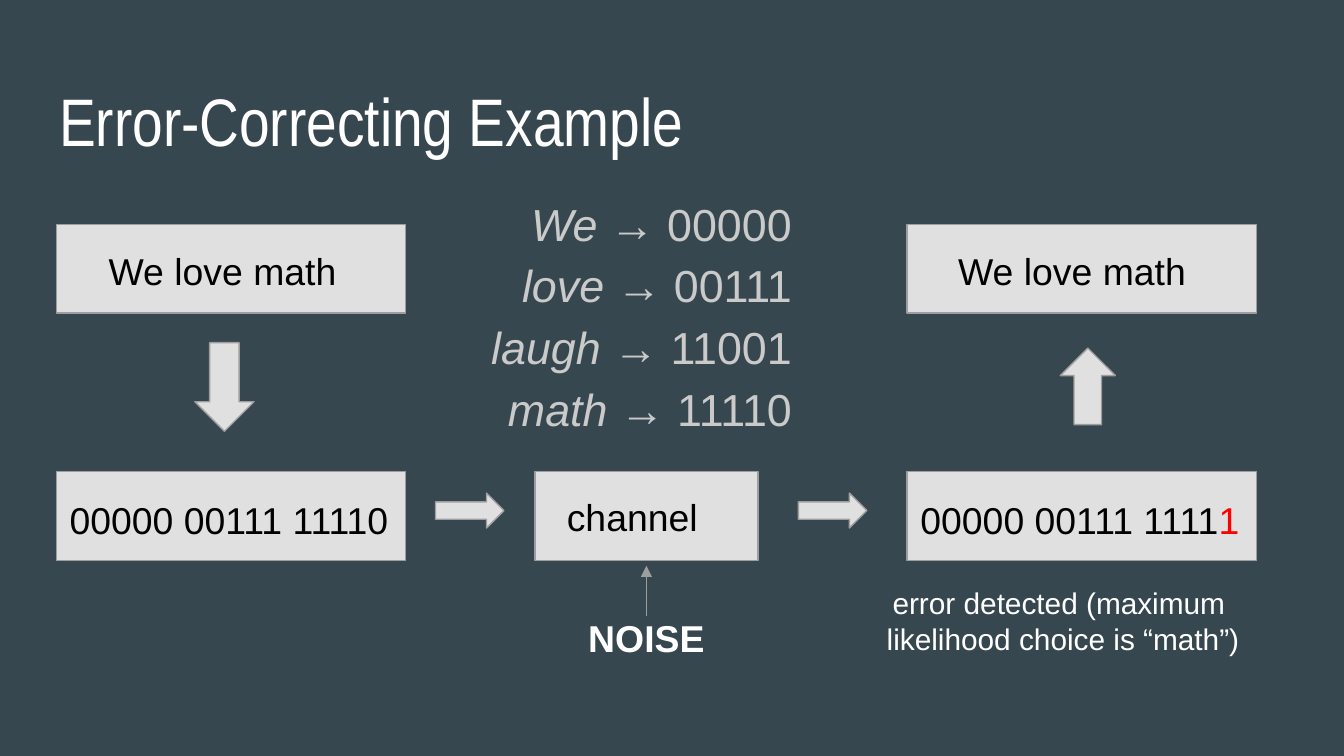
from lxml.etree import SubElement
from pptx import Presentation
from pptx.dml.color import RGBColor
from pptx.enum.shapes import MSO_CONNECTOR, MSO_SHAPE
from pptx.enum.text import MSO_ANCHOR, MSO_AUTO_SIZE, PP_ALIGN
from pptx.oxml.ns import qn
from pptx.util import Pt

DARK, PALE, EDGE = "37474F", "E0E0E0", "9E9E9E"
WHITE, BLACK, RED, GREY = "FFFFFF", "000000", "FF0000", "CACACA"
LEFT, RIGHT = 30.2, 486
TOP, LOW = 120.2, 252.7
WIDE, TALL = 187.2, 47.5


def hue(code):
    return RGBColor.from_string(code)


def spot(left, top, width, height):
    return [Pt(value) for value in (left, top, width, height)]


def style(item, values):
    for name, value in values.items():
        setattr(item, name, value)


def write(shape, lines, size, align=PP_ALIGN.LEFT, face="Arial",
          anchor=MSO_ANCHOR.TOP, space=1.0):
    """Fill a shape with lines, each a list of (text, colour, extra format)."""
    frame = shape.text_frame
    style(frame, {"word_wrap": True, "auto_size": MSO_AUTO_SIZE.NONE,
                  "vertical_anchor": anchor})
    style(frame, {f"margin_{side}": Pt(7.2)
                  for side in ("left", "top", "right", "bottom")})
    for index, line in enumerate(lines):
        para = frame.add_paragraph() if index else frame.paragraphs[0]
        style(para, {"alignment": align, "line_spacing": space})
        for text, code, extra in line:
            run = para.add_run()
            run.text = text
            style(run.font, {"name": face, "size": Pt(size), **extra})
            run.font.color.rgb = hue(code)


def label(slide, place, lines, size=20, **extra):
    write(slide.shapes.add_textbox(*spot(*place)), lines, size, **extra)


def block(slide, kind, *place):
    shape = slide.shapes.add_shape(kind, *spot(*place))
    shape.shadow.inherit = False
    shape.fill.solid()
    shape.fill.fore_color.rgb = hue(PALE)
    shape.line.color.rgb = hue(EDGE)
    shape.line.width = Pt(0.75)


def arrow(slide, *ends):
    link = slide.shapes.add_connector(MSO_CONNECTOR.STRAIGHT, *spot(*ends))
    link.line.color.rgb = hue(EDGE)
    link.line.width = Pt(0.75)
    SubElement(link.line._get_or_add_ln(), qn("a:tailEnd"), type="triangle")
    SubElement(link._element.spPr, qn("a:effectLst"))


def main():
    deck = Presentation()
    style(deck, {"slide_width": Pt(720), "slide_height": Pt(405)})
    slide = deck.slides.add_slide(deck.slide_layouts[5])
    slide.background.fill.solid()
    slide.background.fill.fore_color.rgb = hue(DARK)

    # Title
    title = slide.shapes.title
    style(title, dict(zip(("left", "top", "width", "height"),
                          spot(24.5, 35.3, 671, 45.4))))
    write(title, [[("Error-Correcting Example", WHITE, {})]], 36,
          face="Arial Narrow")

    # Boxes for the message, its code and the channel
    for left in (LEFT, RIGHT):
        for top in (TOP, LOW):
            block(slide, MSO_SHAPE.RECTANGLE, left, top, WIDE, TALL)
    block(slide, MSO_SHAPE.RECTANGLE, 286.6, LOW, 119.5, TALL)

    # Block arrows from step to step
    block(slide, MSO_SHAPE.DOWN_ARROW, 104.4, 183.6, 31.7, 47.5)
    block(slide, MSO_SHAPE.UP_ARROW, 568, 186.5, 29.5, 41)
    for left in (233.3, 427.7):
        block(slide, MSO_SHAPE.RIGHT_ARROW, left, 264.2, 36.7, 18.7)

    # Words in the boxes
    for left in (51.1, 506.2):
        label(slide, (left, 126, 150, 30), [[("We love math", BLACK, {})]])
    label(slide, (LEFT, 259.2, 195.8, 30),
          [[("00000 00111 11110", BLACK, {})]])
    label(slide, (RIGHT, 259.2, 195.8, 30),
          [[("00000 00111 1111", BLACK, {}), ("1", RED, {})]])
    label(slide, (296.6, 257.8, 105, 31.7), [[("channel", BLACK, {})]])

    # Noise and the error note
    label(slide, (293.8, 322.6, 105, 28.8),
          [[("NOISE", WHITE, {"bold": True})]], align=PP_ALIGN.CENTER)
    arrow(slide, 346.3, 329.8, 346.3, 303.1)
    note = ("error detected (maximum ", "likelihood choice is “math”)")
    label(slide, (432.7, 306, 273.6, 45.4),
          [[(text, WHITE, {})] for text in note], 16, align=PP_ALIGN.CENTER)

    # Code book
    codes = {"We": "00000", "love": "00111", "laugh": "11001",
             "math": "11110"}
    lines = [[(word, GREY, {"italic": True}), (f" → {code}", GREY, {})]
             for word, code in codes.items()]
    label(slide, (249.1, 76.3, 182.2, 181.4), lines, 24,
          align=PP_ALIGN.RIGHT, anchor=MSO_ANCHOR.MIDDLE, space=1.15)

    deck.save("out.pptx")


main()
